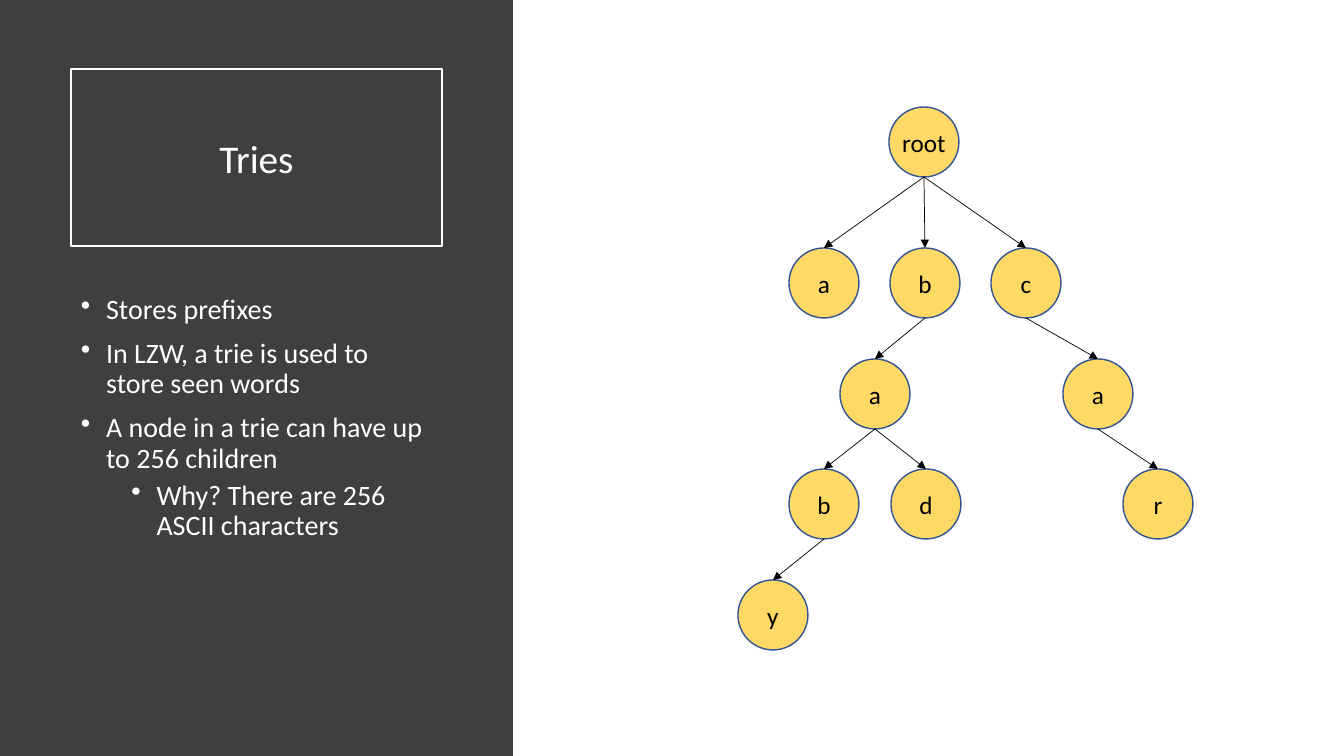
from lxml.etree import SubElement
from pptx import Presentation
from pptx.dml.color import RGBColor
from pptx.enum.shapes import MSO_CONNECTOR, MSO_SHAPE
from pptx.enum.text import MSO_ANCHOR, PP_ALIGN
from pptx.oxml.ns import qn
from pptx.util import Emu, Pt

PX_PER_INCH = 100.8
SLIDE_WIDTH, SLIDE_HEIGHT = 1344, 756
FONT = "Calibri"
WHITE, BLACK = "FFFFFF", "000000"
PANEL_FILL, NODE_FILL, NODE_LINE = "3F3F3F", "FFD966", "325491"

BULLETS = [
    (0, "Stores prefixes"),
    (0, "In LZW, a trie is used to store seen words"),
    (0, "A node in a trie can have up to 256 children"),
    (1, "Why? There are 256 ASCII characters"),
]

NODE_SIZE = 70
LEVEL_TOPS = [0, 141, 252, 362, 473]
# Each node: label, centre x within the tree, children
TRIE = ("root", 186, [
    ("a", 86, []),
    ("b", 187, [
        ("a", 137, [
            ("b", 86, [("y", 35, [])]),
            ("d", 188, []),
        ]),
    ]),
    ("c", 288, [
        ("a", 360, [("r", 420, [])]),
    ]),
])


def px(length):
    return Emu(round(length * 914400 / PX_PER_INCH))


def color(hex_string):
    return RGBColor.from_string(hex_string)


def style_text(paragraph, size, text_color):
    paragraph.font.name = FONT
    paragraph.font.size = Pt(size)
    paragraph.font.color.rgb = color(text_color)


def add_box(slide, kind, left, top, width, height, fill=None, line=None, line_width=1):
    shape = slide.shapes.add_shape(kind, px(left), px(top), px(width), px(height))
    shape.shadow.inherit = False
    if fill:
        shape.fill.solid()
        shape.fill.fore_color.rgb = color(fill)
    else:
        shape.fill.background()
    if line:
        shape.line.color.rgb = color(line)
        shape.line.width = Pt(line_width)
    else:
        shape.line.fill.background()
    return shape


def write_centered(shape, text, size, text_color):
    frame = shape.text_frame
    frame.vertical_anchor = MSO_ANCHOR.MIDDLE
    paragraph = frame.paragraphs[0]
    paragraph.text = text
    paragraph.alignment = PP_ALIGN.CENTER
    style_text(paragraph, size, text_color)
    return frame


def add_bullets(slide, left, top, width, height):
    box = slide.shapes.add_textbox(px(left), px(top), px(width), px(height))
    frame = box.text_frame
    frame.word_wrap = True
    for index, (level, text) in enumerate(BULLETS):
        paragraph = frame.add_paragraph() if index else frame.paragraphs[0]
        paragraph.text = text
        paragraph.level = level
        paragraph.line_spacing = 0.9
        paragraph.space_before = Pt(5 if level else 10)
        style_text(paragraph, 20, WHITE)
        properties = paragraph._p.get_or_add_pPr()
        properties.set("marL", str(Pt(18 + 36 * level)))
        properties.set("indent", str(-Pt(18)))
        bullet = SubElement(properties, qn("a:buChar"), char="•")
        properties.find(qn("a:defRPr")).addprevious(bullet)


def add_side_panel(slide, left, top, width, height):
    add_box(slide, MSO_SHAPE.RECTANGLE, left, top, width, height, PANEL_FILL)
    title = add_box(slide, MSO_SHAPE.RECTANGLE, left + 71, top + 69, 371, 177,
                    line=WHITE, line_width=1.5)
    write_centered(title, "Tries", 28, WHITE)
    add_bullets(slide, left + 71, top + 290, 371, 377)


def add_arrow(slide, start, end):
    arrow = slide.shapes.add_connector(MSO_CONNECTOR.STRAIGHT, *map(px, start + end))
    arrow.line.color.rgb = color(BLACK)
    arrow.line.width = Pt(0.5)
    SubElement(arrow.line._get_or_add_ln(), qn("a:tailEnd"), type="triangle")
    SubElement(arrow._element.spPr, qn("a:effectLst"))


def add_subtree(slide, left, top, node, level=0):
    label, center, children = node
    x, y = left + center, top + LEVEL_TOPS[level]
    circle = add_box(slide, MSO_SHAPE.OVAL, x - NODE_SIZE / 2, y,
                     NODE_SIZE, NODE_SIZE, NODE_FILL, NODE_LINE)
    frame = write_centered(circle, label, 18, BLACK)
    frame.word_wrap = False
    frame.margin_left = frame.margin_right = 0
    for child in children:
        add_subtree(slide, left, top, child, level + 1)
        add_arrow(slide, (x, y + NODE_SIZE),
                  (left + child[1], top + LEVEL_TOPS[level + 1]))


def main():
    presentation = Presentation()
    presentation.slide_width = px(SLIDE_WIDTH)
    presentation.slide_height = px(SLIDE_HEIGHT)
    slide = presentation.slides.add_slide(presentation.slide_layouts[6])
    add_side_panel(slide, 0, 0, 513, SLIDE_HEIGHT)
    add_subtree(slide, 738, 107, TRIE)
    presentation.save("out.pptx")


if __name__ == "__main__":
    main()
